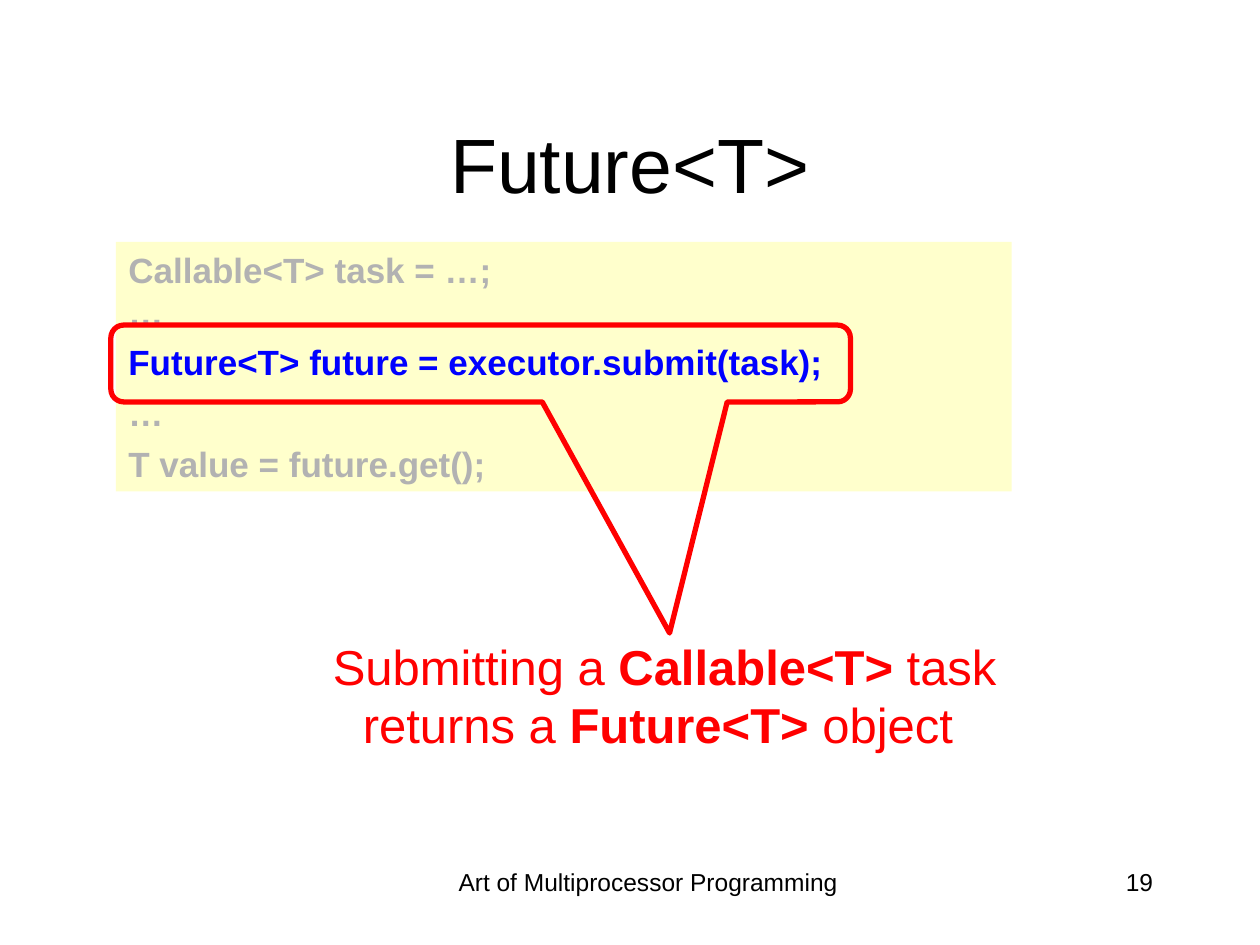
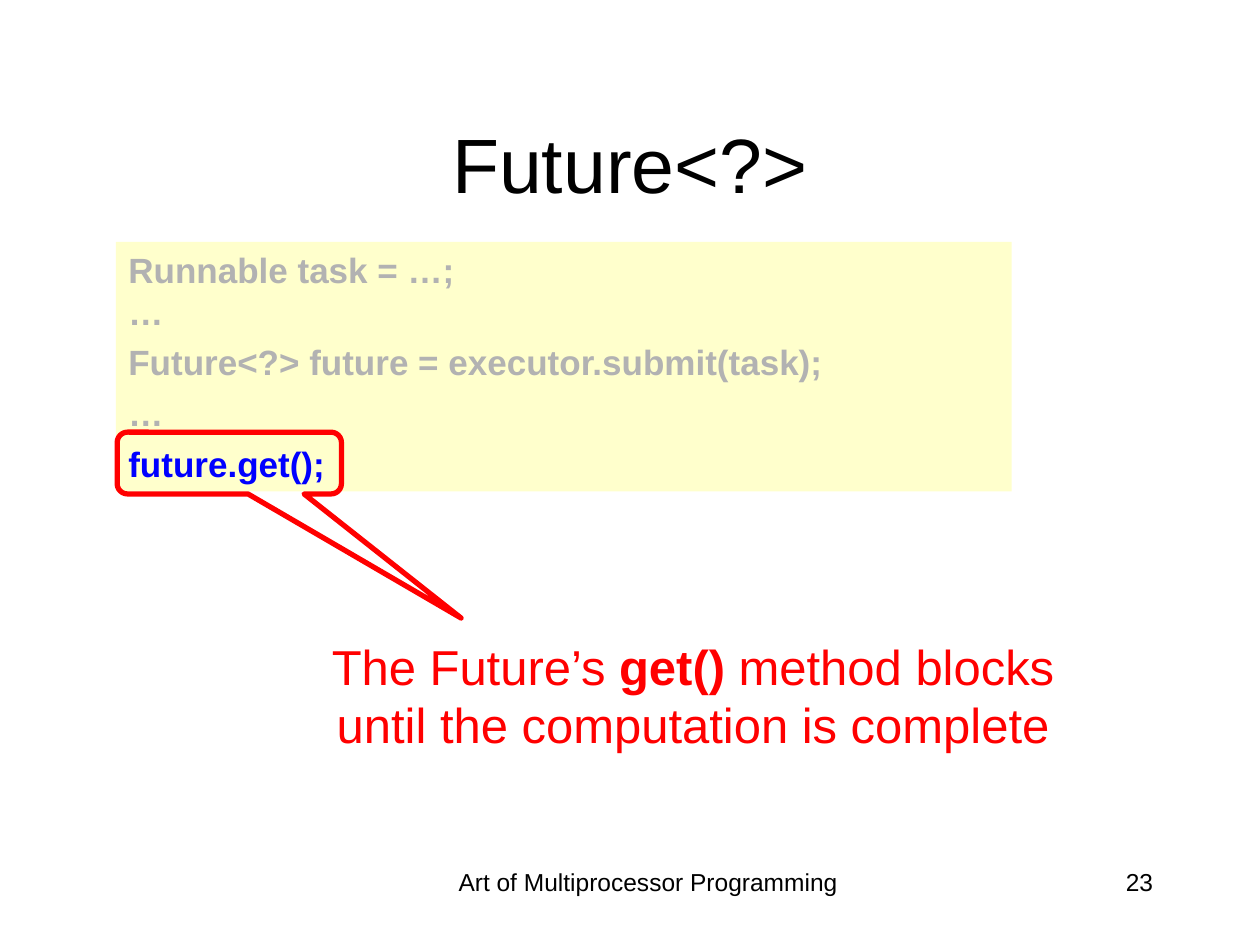
from dataclasses import dataclass

from pptx import Presentation
from pptx.dml.color import RGBColor
from pptx.enum.shapes import MSO_SHAPE
from pptx.enum.text import MSO_ANCHOR, MSO_AUTO_SIZE, PP_ALIGN
from pptx.util import Inches, Pt


@dataclass(frozen=True)
class Theme:
    font: str = "Arial"
    ink: str = "000000"
    panel: str = "FFFFCC"
    dim: str = "B2B2B2"
    focus: str = "0000FF"
    alert: str = "FF0000"
    title: int = 44
    note: int = 28
    code: int = 20
    foot: int = 14
    gap: int = 5
    stroke: int = 3


THEME = Theme()


def place(shape, left, top, width, height):
    shape.left, shape.top = Inches(left), Inches(top)
    shape.width, shape.height = Inches(width), Inches(height)


def style(font, size, color, bold=False):
    font.name, font.size, font.bold = THEME.font, Pt(size), bold
    font.color.rgb = RGBColor.from_string(color)


def add_title(slide, text):
    title = slide.shapes.title
    place(title, 0.75, 0.67, 8.5, 1.25)
    frame = title.text_frame
    frame.text = text
    frame.auto_size = MSO_AUTO_SIZE.NONE
    frame.vertical_anchor = MSO_ANCHOR.MIDDLE
    para = frame.paragraphs[0]
    para.alignment = PP_ALIGN.CENTER
    style(para.runs[0].font, THEME.title, THEME.ink)


def add_text(slide, box, parts, size, color, align=PP_ALIGN.CENTER):
    """Write one paragraph whose parts are plain and bold in turn."""
    frame = slide.shapes.add_textbox(*map(Inches, box)).text_frame
    frame.word_wrap = True
    para = frame.paragraphs[0]
    para.alignment = align
    for index, part in enumerate(parts):
        run = para.add_run()
        run.text = part
        style(run.font, size, color, bold=index % 2 == 1)


def add_footer(slide, number):
    add_text(slide, (3.42, 6.83, 3.45, 0.5),
             ["Art of Multiprocessor Programming"], THEME.foot, THEME.ink)
    add_text(slide, (7.17, 6.83, 2.08, 0.5), [str(number)],
             THEME.foot, THEME.ink, PP_ALIGN.RIGHT)


def add_code(slide, lines, focus):
    """Show the code dimmed, except for the line at index focus."""
    panel = slide.shapes.add_shape(
        MSO_SHAPE.RECTANGLE, *map(Inches, (0.92, 1.92, 7.11, 1.98)))
    panel.shadow.inherit = False
    panel.fill.solid()
    panel.fill.fore_color.rgb = RGBColor.from_string(THEME.panel)
    panel.line.fill.background()
    frame = panel.text_frame
    frame.text = "\n".join(lines)
    frame.word_wrap = True
    frame.vertical_anchor = MSO_ANCHOR.TOP
    for index, para in enumerate(frame.paragraphs):
        para.alignment = PP_ALIGN.LEFT
        para.space_before = Pt(THEME.gap if index > 1 else 0)
        color = THEME.focus if index == focus else THEME.dim
        style(para.runs[0].font, THEME.code, color, bold=True)


def add_callout(slide, box, tip):
    """Frame a code line; tip is the pointer's offset from the centre."""
    callout = slide.shapes.add_shape(
        MSO_SHAPE.ROUNDED_RECTANGULAR_CALLOUT, *map(Inches, box))
    callout.shadow.inherit = False
    callout.fill.background()
    callout.line.color.rgb = RGBColor.from_string(THEME.alert)
    callout.line.width = Pt(THEME.stroke)
    callout.adjustments[0], callout.adjustments[1] = (
        tip[0] / box[2], tip[1] / box[3])


def add_slide(deck, number, title, code, focus, callout, tip, note, width):
    slide = deck.slides.add_slide(deck.slide_layouts[5])
    add_footer(slide, number)
    add_title(slide, title)
    add_code(slide, code, focus)
    add_callout(slide, callout, tip)
    add_text(slide, (2.15, 5, width, 1.04), note, THEME.note, THEME.alert)


def main():
    deck = Presentation()
    deck.slide_width, deck.slide_height = Inches(10), Inches(7.5)
    add_slide(
        deck, 19, "Future<T>",
        code=["Callable<T> task = …;", "…",
              "Future<T> future = executor.submit(task);", "…",
              "T value = future.get();"],
        focus=2, callout=(0.88, 2.58, 5.87, 0.61), tip=(1.5, 2.14),
        note=["Submitting a ", "Callable<T>", " task returns a ",
              "Future<T>", " object "],
        width=6.25)
    add_slide(
        deck, 23, "Future<?>",
        code=["Runnable task = …;", "…",
              "Future<?> future = executor.submit(task);", "…",
              "future.get();"],
        focus=4, callout=(0.93, 3.43, 1.78, 0.49), tip=(1.84, 1.23),
        note=["The Future’s ", "get()",
              " method blocks until the computation is complete"],
        width=6.7)
    deck.save("out.pptx")


if __name__ == "__main__":
    main()
